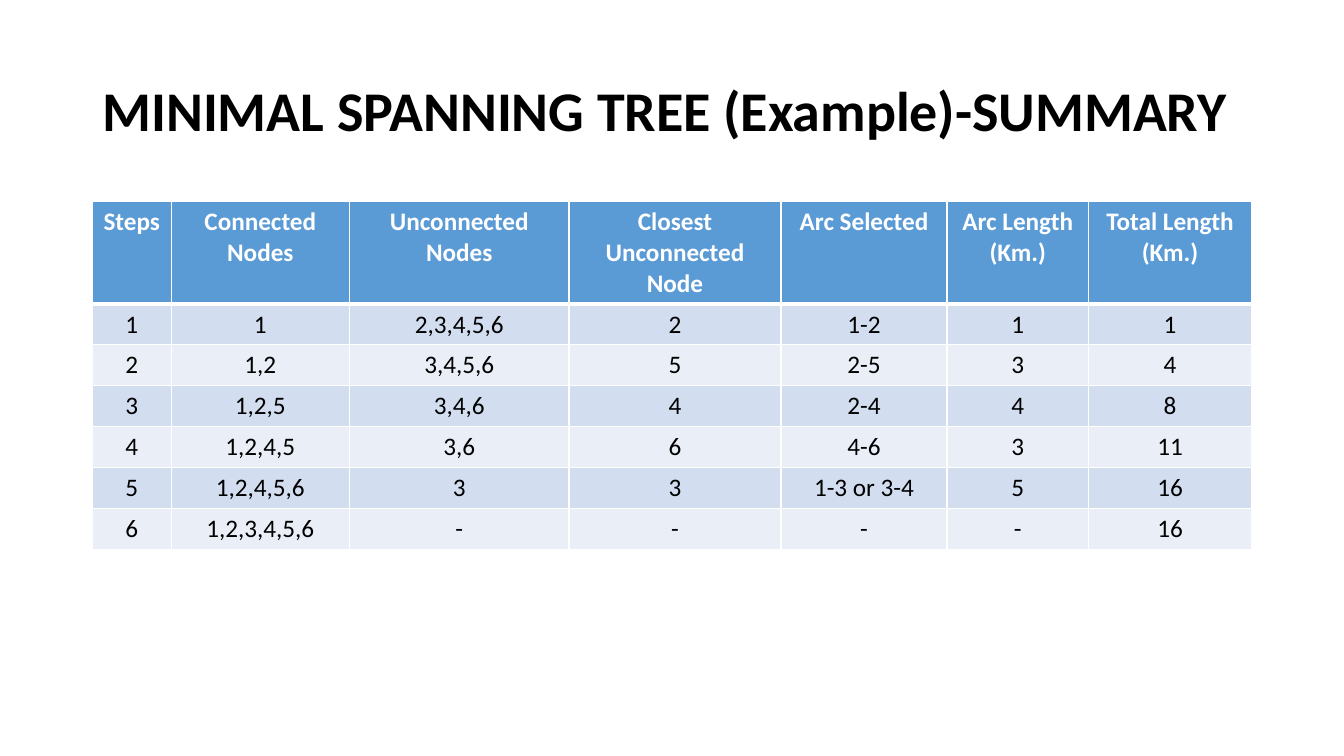
from lxml.etree import SubElement
from pptx import Presentation
from pptx.dml.color import RGBColor
from pptx.enum.text import MSO_ANCHOR as Anchor, PP_ALIGN as Align
from pptx.oxml.ns import qn
from pptx.util import Emu, Pt

EMU_PER_PX = 9525
COLORS = {"text": "000000", "white": "FFFFFF", "header": "5B9BD5",
          "odd": "D2DEEF", "even": "EAEFF7"}

COLUMN_WIDTHS = [75, 170, 209, 202, 158, 135, 155]
ROW_HEIGHT = 39
SUMMARY = [
    ["Steps", "Connected Nodes", "Unconnected Nodes", "Closest Unconnected Node",
     "Arc Selected", "Arc Length (Km.)", "Total Length (Km.)"],
    ["1", "1", "2,3,4,5,6", "2", "1-2", "1", "1"],
    ["2", "1,2", "3,4,5,6", "5", "2-5", "3", "4"],
    ["3", "1,2,5", "3,4,6", "4", "2-4", "4", "8"],
    ["4", "1,2,4,5", "3,6", "6", "4-6", "3", "11"],
    ["5", "1,2,4,5,6", "3", "3", "1-3 or 3-4", "5", "16"],
    ["6", "1,2,3,4,5,6", "-", "-", "-", "-", "16"],
]


def px(length):
    return Emu(length * EMU_PER_PX)


def write(frame, text, size=18, color="text", bold=False, align=Align.CENTER,
          spacing=1.0, font="Calibri"):
    para = frame.paragraphs[0]
    para.alignment = align
    para.line_spacing = spacing
    span = para.add_run()
    span.text = text
    span.font.name = font
    span.font.size = Pt(size)
    span.font.bold = bold
    span.font.color.rgb = RGBColor.from_string(COLORS[color])


def add_border(cell, side, width):
    """Draw one white cell edge; side is L, R, T or B."""
    line = SubElement(cell._tc.get_or_add_tcPr(), qn(f"a:ln{side}"), w=str(Pt(width)))
    fill = SubElement(line, qn("a:solidFill"))
    SubElement(fill, qn("a:srgbClr"), val=COLORS["white"])


class SlideBuilder:
    def __init__(self, deck):
        self.page = deck.slides.add_slide(deck.slide_layouts[5])

    def title(self, text, left, top, width, height):
        box = self.page.shapes.title
        box.left, box.top, box.width, box.height = map(px, (left, top, width, height))
        box.text_frame.vertical_anchor = Anchor.MIDDLE
        write(box.text_frame, text, size=40, bold=True, align=Align.LEFT, spacing=0.9)

    def table(self, rows, widths, left, top, height):
        frame = self.page.shapes.add_table(len(rows), len(widths), px(left), px(top),
                                           px(sum(widths)), px(height))
        table = frame.table
        for column, width in zip(table.columns, widths):
            column.width = px(width)
        for row_index, (row, texts) in enumerate(zip(table.rows, rows)):
            row.height = px(ROW_HEIGHT)
            for cell, text in zip(row.cells, texts):
                self.cell(cell, text, row_index)
        frame.height = px(height)

    def cell(self, cell, text, row_index):
        header = row_index == 0
        widths = {"L": 1, "R": 1, "T": 3 if row_index == 1 else 1, "B": 3 if header else 1}
        for side, width in widths.items():
            add_border(cell, side, width)
        band = "header" if header else "odd" if row_index % 2 else "even"
        cell.fill.solid()
        cell.fill.fore_color.rgb = RGBColor.from_string(COLORS[band])
        write(cell.text_frame, text, color="white" if header else "text", bold=header)


def main():
    deck = Presentation()
    deck.slide_width, deck.slide_height = px(1280), px(720)
    slide = SlideBuilder(deck)
    slide.title("MINIMAL SPANNING TREE (Example)-SUMMARY", 88, 38, 1104, 139)
    slide.table(SUMMARY, COLUMN_WIDTHS, 88, 192, 329)
    deck.save("out.pptx")


if __name__ == "__main__":
    main()
